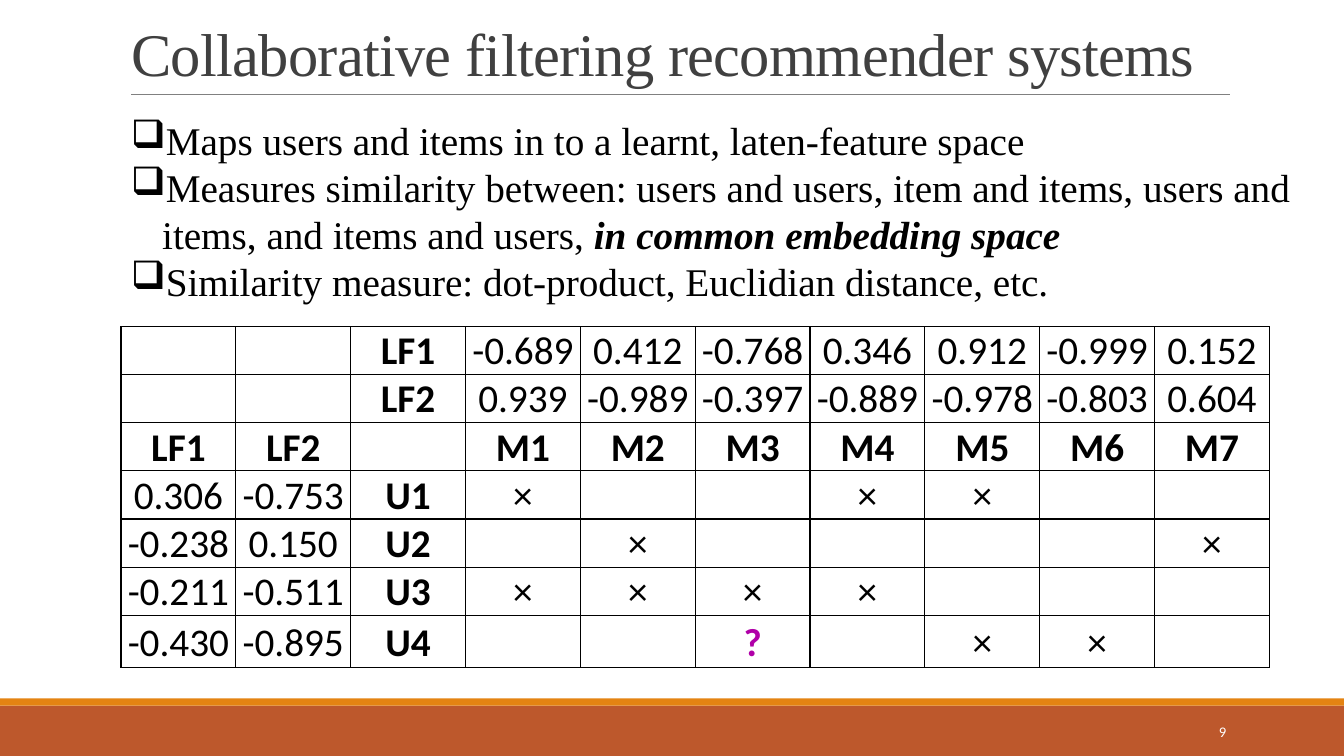
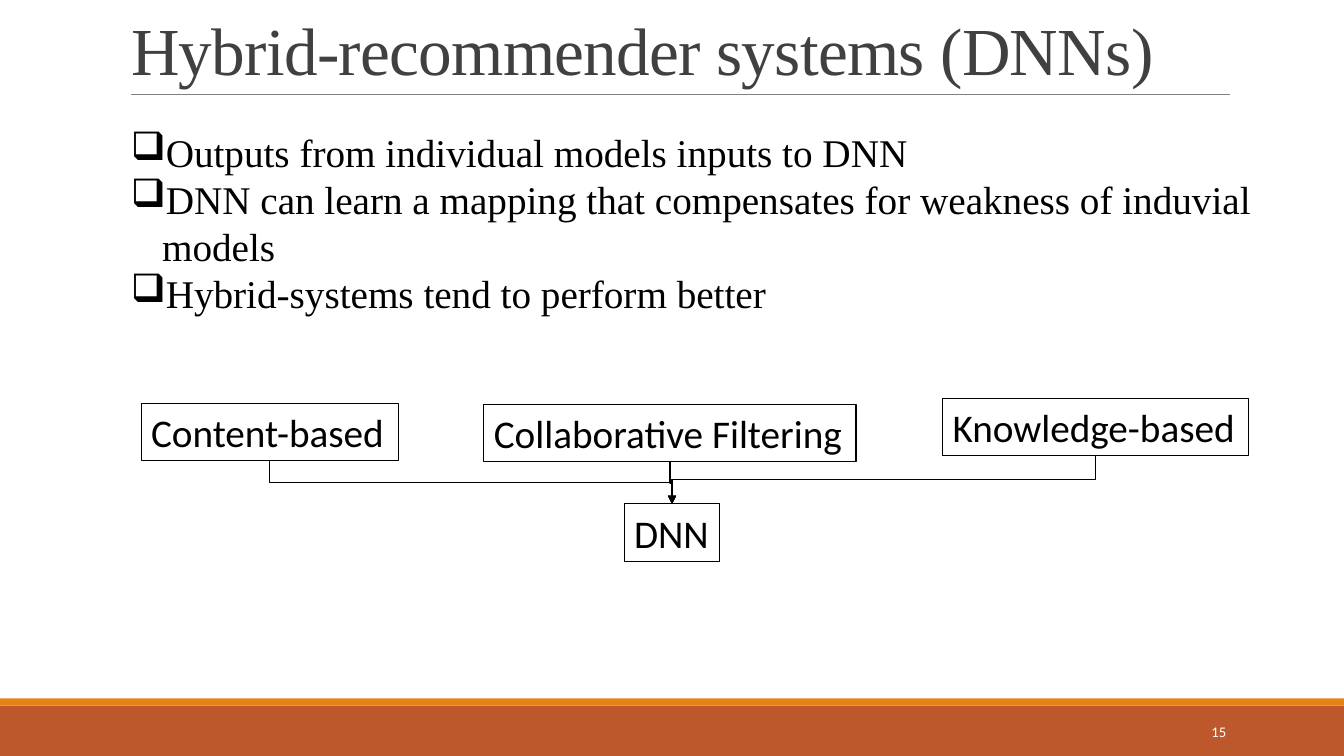
from dataclasses import dataclass

from lxml import etree
from pptx import Presentation
from pptx.dml.color import RGBColor
from pptx.enum.shapes import MSO_CONNECTOR, MSO_SHAPE
from pptx.enum.text import MSO_ANCHOR, MSO_AUTO_SIZE, PP_ALIGN
from pptx.oxml.ns import qn
from pptx.util import Emu, Inches, Pt

RECTANGLE = MSO_SHAPE.RECTANGLE
STRAIGHT, ELBOW = MSO_CONNECTOR.STRAIGHT, MSO_CONNECTOR.ELBOW
TOP, MIDDLE, BOTTOM = MSO_ANCHOR.TOP, MSO_ANCHOR.MIDDLE, MSO_ANCHOR.BOTTOM
LEFT, CENTER, RIGHT = PP_ALIGN.LEFT, PP_ALIGN.CENTER, PP_ALIGN.RIGHT
NO_FIT, GROW = MSO_AUTO_SIZE.NONE, MSO_AUTO_SIZE.SHAPE_TO_FIT_TEXT
TOP_SIDE, BOTTOM_SIDE = 0, 2


@dataclass(frozen=True)
class Theme:
    serif: str = "Times New Roman"
    sans: str = "Calibri"
    band: str = "BD582C"
    stripe: str = "E48312"
    rule: str = "808080"
    title: str = "404040"
    ink: str = "000000"
    unknown: str = "B000A8"
    paper: str = "FFFFFF"
    body_size: float = 28
    number_size: float = 10.5


THEME = Theme()
WIDTH, HEIGHT = 13.33, 7.5
MARGIN = 1.2
BAND_TOP, STRIPE_TOP = 7, 6.93
BULLET, BULLET_INDENT = "❑", 0.31

FILTERING = {
    "title": "Collaborative filtering recommender systems",
    "title_size": 43.2,
    "number": "9",
    "bullets_top": 1.1,
    "bullets": [
        [("Maps users and items in to a learnt, laten-feature space", False)],
        [("Measures similarity between: users and users, item and items, "
          "users and items, and items and users, ", False),
         ("in common embedding space", True)],
        [("Similarity measure: dot-product, Euclidian distance, etc.", False)],
    ],
}
HYBRID = {
    "title": "Hybrid-recommender systems (DNNs)",
    "title_size": 48,
    "number": "15",
    "bullets_top": 1.22,
    "bullets": [
        [("Outputs from individual models inputs to DNN", False)],
        [("DNN can learn a mapping that compensates for weakness of "
          "induvial models", False)],
        [("Hybrid-systems tend to perform better", False)],
    ],
}
RATINGS = [
    ["", "", "LF1", "-0.689", "0.412", "-0.768", "0.346", "0.912", "-0.999", "0.152"],
    ["", "", "LF2", "0.939", "-0.989", "-0.397", "-0.889", "-0.978", "-0.803", "0.604"],
    ["LF1", "LF2", "", "M1", "M2", "M3", "M4", "M5", "M6", "M7"],
    ["0.306", "-0.753", "U1", "×", "", "", "×", "×", "", ""],
    ["-0.238", "0.150", "U2", "", "×", "", "", "", "", "×"],
    ["-0.211", "-0.511", "U3", "×", "×", "×", "×", "", "", ""],
    ["-0.430", "-0.895", "U4", "", "", "?", "", "×", "×", ""],
]
TABLE_TOP, TABLE_WIDTH = 3.24, 11.39
ROW_HEIGHT, LAST_ROW_HEIGHT = 0.42, 0.52

MODELS = [
    ("Content-based", 1.4, 4, 2.55),
    ("Collaborative Filtering", 4.8, 4.01, 3.69),
    ("Knowledge-based", 9.35, 3.95, 3.03),
]
NETWORK = ("DNN", 6.19, 5, 0.95)
BOX_HEIGHT = 0.57


def color(value):
    return RGBColor.from_string(value)


def add_run(paragraph, text, size, font, ink, bold=False, italic=False):
    run = paragraph.add_run()
    run.text = text
    run.font.size = Pt(size)
    run.font.name = font
    run.font.color.rgb = color(ink)
    run.font.bold, run.font.italic = bold, italic
    return run


def add_rectangle(slide, left, top, width, height, fill=None):
    shape = slide.shapes.add_shape(
        RECTANGLE, Inches(left), Inches(top), Inches(width), Inches(height))
    shape.shadow.inherit = False
    if fill:
        shape.fill.solid()
        shape.fill.fore_color.rgb = color(fill)
        shape.line.fill.background()
    else:
        shape.fill.background()
        shape.line.color.rgb = color(THEME.ink)
        shape.line.width = Pt(0.75)
    return shape


def add_line(slide, kind, start, end, ink, width):
    connector = slide.shapes.add_connector(kind, *map(Inches, start + end))
    connector.line.color.rgb = color(ink)
    connector.line.width = Pt(width)
    etree.SubElement(connector._element.spPr, qn("a:effectLst"))
    return connector


def move_to_layout(slide, shapes):
    tree = slide.slide_layout.shapes._spTree
    for offset, shape in enumerate(shapes):
        shape._element.xpath(".//p:cNvPr")[0].set("id", str(100 + offset))
        tree.insert(2 + offset, shape._element)


def add_frame(slide):
    move_to_layout(slide, [
        add_rectangle(slide, 0, BAND_TOP, WIDTH, HEIGHT - BAND_TOP, THEME.band),
        add_rectangle(slide, 0, STRIPE_TOP, WIDTH, BAND_TOP - STRIPE_TOP, THEME.stripe),
        add_line(slide, STRAIGHT, (1.3, 0.94), (12.2, 0.94), THEME.rule, 0.5),
    ])


def add_text_box(slide, left, top, width, height, anchor=TOP):
    box = slide.shapes.add_textbox(
        Inches(left), Inches(top), Inches(width), Inches(height))
    box.text_frame.word_wrap = True
    box.text_frame.vertical_anchor = anchor
    return box.text_frame


def format_title(slide, text, size):
    title = slide.shapes.title
    title.left, title.top = Inches(MARGIN), Inches(0.09)
    title.width, title.height = Inches(11), Inches(0.84)
    frame = title.text_frame
    frame.auto_size, frame.vertical_anchor = NO_FIT, BOTTOM
    paragraph = frame.paragraphs[0]
    paragraph.alignment, paragraph.line_spacing = LEFT, 0.85
    run = add_run(paragraph, text, size, THEME.serif, THEME.title)
    run._r.get_or_add_rPr().set("spc", "-50")


def add_bullets(slide, top, bullets):
    frame = add_text_box(slide, MARGIN, top, 11.91, 1.99)
    frame.auto_size = GROW
    for index, runs in enumerate(bullets):
        paragraph = frame.add_paragraph() if index else frame.paragraphs[0]
        properties = paragraph._p.get_or_add_pPr()
        properties.set("marL", str(Inches(BULLET_INDENT)))
        properties.set("indent", str(-Inches(BULLET_INDENT)))
        etree.SubElement(properties, qn("a:buChar")).set("char", BULLET)
        for text, strong in runs:
            add_run(paragraph, text, THEME.body_size, THEME.serif, THEME.ink,
                    strong, strong)


def add_content_slide(presentation, content):
    slide = presentation.slides.add_slide(presentation.slide_layouts[5])
    format_title(slide, content["title"], content["title_size"])
    add_bullets(slide, content["bullets_top"], content["bullets"])
    number = add_text_box(slide, 10.83, 7.06, 1.43, 0.4, MIDDLE).paragraphs[0]
    number.alignment = RIGHT
    add_run(number, content["number"], THEME.number_size, THEME.sans, THEME.paper)
    return slide


def format_cell(cell, text):
    cell.margin_left = cell.margin_right = cell.margin_top = Inches(0.01)
    cell.margin_bottom = 0
    cell.vertical_anchor = BOTTOM
    properties = cell._tc.get_or_add_tcPr()
    for side in ("lnL", "lnR", "lnT", "lnB"):
        border = etree.SubElement(properties, qn(f"a:{side}"), w=str(Pt(1)))
        fill = etree.SubElement(border, qn("a:solidFill"))
        etree.SubElement(fill, qn("a:srgbClr"), val=THEME.ink)
    cell.fill.background()
    if text:
        paragraph = cell.text_frame.paragraphs[0]
        paragraph.alignment = CENTER
        add_run(paragraph, text, THEME.body_size, THEME.sans,
                THEME.unknown if text == "?" else THEME.ink,
                bold=text[0] in "LMU?")


def add_ratings(slide):
    heights = [ROW_HEIGHT] * (len(RATINGS) - 1) + [LAST_ROW_HEIGHT]
    columns = len(RATINGS[0])
    table = slide.shapes.add_table(
        len(RATINGS), columns, Inches(MARGIN), Inches(TABLE_TOP),
        Inches(TABLE_WIDTH), Inches(sum(heights))).table
    table.first_row = table.horz_banding = False
    for column in table.columns:
        column.width = Inches(TABLE_WIDTH / columns)
    for row, height, values in zip(table.rows, heights, RATINGS):
        row.height = Inches(height)
        for cell, text in zip(row.cells, values):
            format_cell(cell, text)


def add_box(slide, text, left, top, width):
    box = add_rectangle(slide, left, top, width, BOX_HEIGHT)
    frame = box.text_frame
    frame.word_wrap, frame.auto_size, frame.vertical_anchor = False, GROW, TOP
    paragraph = frame.paragraphs[0]
    paragraph.alignment = LEFT
    add_run(paragraph, text, THEME.body_size, THEME.sans, THEME.ink)
    return box


def add_elbow_down(slide, source, target):
    connector = add_line(slide, ELBOW, (0, 0), (1, 1), THEME.ink, 1)
    connector.begin_connect(source, BOTTOM_SIDE)
    connector.end_connect(target, TOP_SIDE)
    start_x, start_y = source.left + source.width // 2, source.top + source.height
    end_x, end_y = target.left + target.width // 2, target.top
    drop, reach = end_y - start_y, abs(end_x - start_x)
    connector.left = Emu((start_x + end_x - drop) // 2)
    connector.top = Emu((start_y + end_y - reach) // 2)
    connector.width, connector.height = Emu(drop), Emu(reach)
    from_left = start_x < end_x
    transform = connector._element.spPr.find(qn("a:xfrm"))
    transform.set("rot", str((270 if from_left else 90) * 60000))
    transform.set("flipH", "1" if from_left else "0")
    transform.set("flipV", "0")
    etree.SubElement(connector.line._get_or_add_ln(), qn("a:tailEnd"), type="triangle")


def add_model_diagram(slide):
    models = [add_box(slide, *model) for model in MODELS]
    network = add_box(slide, *NETWORK)
    for model in models:
        add_elbow_down(slide, model, network)


def main():
    presentation = Presentation()
    presentation.slide_width = Inches(WIDTH)
    presentation.slide_height = Inches(HEIGHT)
    filtering = add_content_slide(presentation, FILTERING)
    add_frame(filtering)
    add_ratings(filtering)
    add_model_diagram(add_content_slide(presentation, HYBRID))
    presentation.save("out.pptx")


if __name__ == "__main__":
    main()
